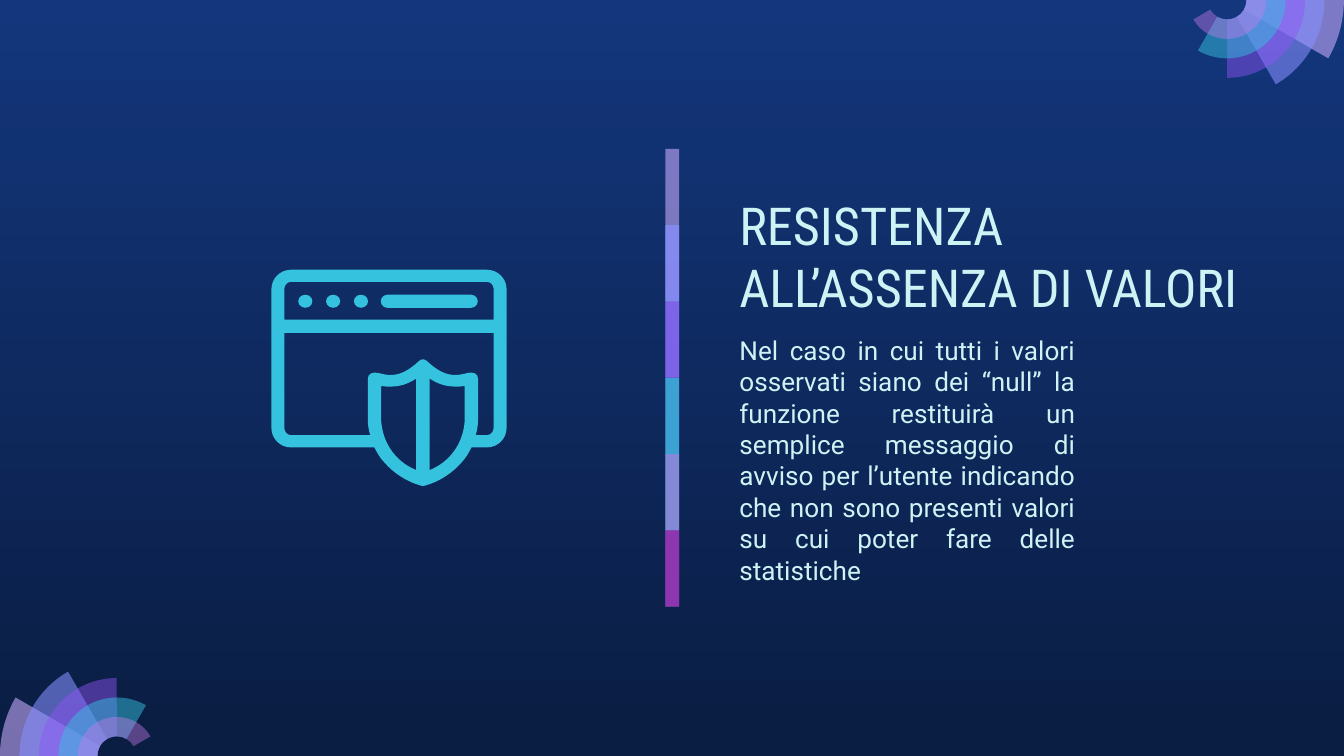
from math import cos, radians, sin, tan

from lxml.etree import SubElement
from pptx import Presentation
from pptx.dml.color import RGBColor
from pptx.enum.shapes import MSO_SHAPE as Preset
from pptx.enum.text import MSO_ANCHOR as Anchor, PP_ALIGN as Align
from pptx.oxml.ns import qn
from pptx.util import Pt

COLORS = {
    "top": "13367C", "bottom": "0A1D42", "text": "CEF3F5", "cyan": "35C2DF",
    "lilac": "C8ACFD", "periwinkle": "878FFF", "violet": "9154F8",
    "orchid": "CA7BEB", "purple": "972CB4",
}
FAN = [("lilac", 58), ("periwinkle", 58), ("violet", 46), ("cyan", 49), ("orchid", 42)]
BARS = [("lilac", 59), ("periwinkle", 74), ("violet", 53), ("cyan", 76),
        ("orchid", 56), ("purple", 74)]


def rgb(name):
    return RGBColor.from_string(COLORS[name])


def paint(shape, color, opacity=100):
    shape.shadow.inherit = False
    shape.line.fill.background()
    shape.fill.solid()
    shape.fill.fore_color.rgb = rgb(color)
    if opacity < 100:
        color_element = shape.fill._xPr.find(qn("a:solidFill"))[0]
        SubElement(color_element, qn("a:alpha"), val=str(opacity * 1000))


def add_preset(slide, preset, box, color, opacity=100):
    shape = slide.shapes.add_shape(preset, *map(Pt, box))
    paint(shape, color, opacity)
    return shape


# An outline is a start point, then lines (x, y) and cubic curves (x1, y1, x2, y2, x, y)
def add_outline(slide, contours, color, opacity=100):
    """Fill closed contours; inner contours become holes."""
    builder = None
    for contour in contours:
        start, *rest = [tuple(map(Pt, move[-2:])) for move in contour]
        if builder is None:
            builder = slide.shapes.build_freeform(*start)
        else:
            builder.move_to(*start)
        builder.add_line_segments(rest, close=True)
    shape = builder.convert_to_shape()
    paint(shape, color, opacity)

    # Turn the segments that have control points into curves
    moves = [move for contour in contours for move in contour[1:]]
    lines = list(shape._element.spPr.iter(qn("a:lnTo")))
    for line, move in zip(lines, moves):
        if len(move) == 6:
            line.tag = qn("a:cubicBezTo")
            line.remove(line[0])
            for x, y in zip(move[::2], move[1::2]):
                SubElement(line, qn("a:pt"), x=str(Pt(x) - shape.left),
                           y=str(Pt(y) - shape.top))


def arc(x, y, radius, start, end):
    """Circular arc as curves, split at each quarter turn."""
    low, high = sorted((start, end))
    stops = [low, *[q for q in range(0, 361, 90) if low < q < high], high]
    if start > end:
        stops.reverse()
    moves = [(x + radius * cos(radians(start)), y + radius * sin(radians(start)))]
    for a, b in zip(map(radians, stops), map(radians, stops[1:])):
        k = 4 / 3 * tan((b - a) / 4)
        moves.append((x + radius * (cos(a) - k * sin(a)), y + radius * (sin(a) + k * cos(a)),
                      x + radius * (cos(b) + k * sin(b)), y + radius * (sin(b) - k * cos(b)),
                      x + radius * cos(b), y + radius * sin(b)))
    return moves


def mirror(moves):
    """Flip an outline about x = 0 and run it backwards."""
    points = [(-move[i], move[i + 1]) for move in moves for i in range(0, len(move), 2)]
    points.reverse()
    flipped, position = [points[0]], 1
    for move in reversed(moves[1:]):
        count = len(move) // 2
        flipped.append(sum(points[position:position + count], ()))
        position += count
    return flipped


def add_background(slide):
    fill = slide.background.fill
    fill.gradient()
    fill.gradient_angle = 270
    for stop, name in zip(fill.gradient_stops, ("top", "bottom")):
        stop.color.rgb = rgb(name)


def add_divider(slide, left, top, width, height):
    # Each bar runs under the next one, except the last
    step = height / len(BARS)
    for i, (color, opacity) in enumerate(BARS):
        bar_height = min(2 * step, height - i * step)
        add_preset(slide, Preset.RECTANGLE, (left, top + i * step, width, bar_height),
                   color, opacity)


def add_fan(slide, x, y, radius, start):
    # Each petal is one ring shorter and 30 degrees wider than the last
    ring = radius / 6
    for i, (color, opacity) in enumerate(FAN):
        end = start + 30 * (i + 1)
        petal = arc(x, y, radius - i * ring, start, end) + arc(x, y, ring, end, start)
        add_outline(slide, [petal], color, opacity)


def add_icon(slide, left, top, width, window_height):
    axis = 81.2  # centre line of the shield

    def place(moves, dx=0):
        offsets = (left + dx, top)
        return [tuple(v + offsets[i % 2] for i, v in enumerate(move)) for move in moves]

    def top_corners(inset, y, radius):
        return (arc(inset + radius, y + radius, radius, 180, 270)
                + arc(width - inset - radius, y + radius, radius, 270, 360))

    def bottom_corner(inset, y, radius, side):
        x = inset + radius if side == "left" else width - inset - radius
        start = 90 if side == "left" else 0
        return arc(x, y - radius, radius, start, start + 90)

    # Right halves of the shield, measured from its axis
    rim = [(28.2, 88.6), (29, 86.4, 29.5, 83.5, 29.5, 80.6), (29.5, 58.3),
           (29.5, 55.8, 27, 54.5, 23.9, 55.3), (21.7, 55.9, 19.5, 56.4, 17.4, 56.4),
           (12.3, 56.4, 8, 54.3, 2.2, 49), (1.5, 48.3, 0.8, 48, 0, 48)]
    tip = [(26, window_height), (24.6, 98, 23, 100.8, 20.9, 103),
           (16, 108.7, 9, 113.5, 1, 115.7), (0.7, 115.8, 0.3, 115.9, 0, 115.9)]
    panel = [(3.6, 58.3), (8, 61.2, 12.3, 62.6, 17.4, 62.6),
             (19, 62.6, 20.7, 62.6, 22.4, 62.3), (22.4, 80.6),
             (21.7, 92.9, 14.5, 103, 3.6, 107.3)]

    frame = (place(top_corners(0, 0, 10.5))
             + place(bottom_corner(0, window_height, 10.5, "right"))
             + place(tip + mirror(tip)[1:], axis)
             + place(bottom_corner(0, window_height, 10.5, "left")))
    toolbar = place(top_corners(7, 6.5, 3.6) + [(width - 7, 26.8), (7, 26.8)])
    page = (place([(7, 33.8), (width - 7, 33.8)])
            + place(bottom_corner(7, 88.6, 3.6, "right"))
            + place(rim + mirror(rim)[1:], axis)
            + place(bottom_corner(7, 88.6, 3.6, "left")))
    panels = [place(panel, axis), place(mirror(panel), axis)]
    add_outline(slide, [frame, toolbar, page, *panels], "cyan")

    # Buttons and address bar
    for i in range(3):
        add_preset(slide, Preset.OVAL, (left + 14.4 + i * 14.9, top + 13.4, 7.6, 7), "cyan")
    bar = add_preset(slide, Preset.ROUNDED_RECTANGLE,
                     (left + 58.6, top + 13.4, 52, 7), "cyan")
    bar.adjustments[0] = 0.5


def add_text(slide, box, text, anchor, align, font):
    frame = slide.shapes.add_textbox(*map(Pt, box)).text_frame
    margins = {f"margin_{side}": Pt(7.2) for side in ("left", "top", "right", "bottom")}
    for name, value in {"word_wrap": True, "vertical_anchor": anchor, **margins}.items():
        setattr(frame, name, value)
    paragraph = frame.paragraphs[0]
    paragraph.text = text
    paragraph.alignment = align
    for name, value in font.items():
        setattr(paragraph.font, name, value)
    paragraph.font.color.rgb = rgb("text")


def add_message(slide, left, top):
    add_text(slide, (left, top, 292.3, 76.3), "RESISTENZA ALL’ASSENZA DI VALORI",
             Anchor.BOTTOM, Align.LEFT, {"name": "Roboto Condensed", "size": Pt(28)})
    add_text(slide, (left, top + 70.4, 194.1, 141.8),
             "Nel caso in cui tutti i valori osservati siano dei “null” la funzione "
             "restituirà un semplice messaggio di avviso per l’utente indicando che non "
             "sono presenti valori su cui poter fare delle statistiche",
             Anchor.TOP, Align.JUSTIFY, {"name": "Roboto", "size": Pt(14)})


def main():
    presentation = Presentation()
    presentation.slide_width, presentation.slide_height = Pt(720), Pt(405)
    slide = presentation.slides.add_slide(presentation.slide_layouts[6])
    add_background(slide)
    add_divider(slide, 356.4, 79.8, 7.4, 245.2)
    add_message(slide, 389, 101.5)
    add_fan(slide, 62.6, 405, 62.6, 180)
    add_fan(slide, 657.4, 0, 62.6, 0)
    add_icon(slide, 145.4, 144.5, 126, 95.2)
    presentation.save("out.pptx")


if __name__ == "__main__":
    main()
